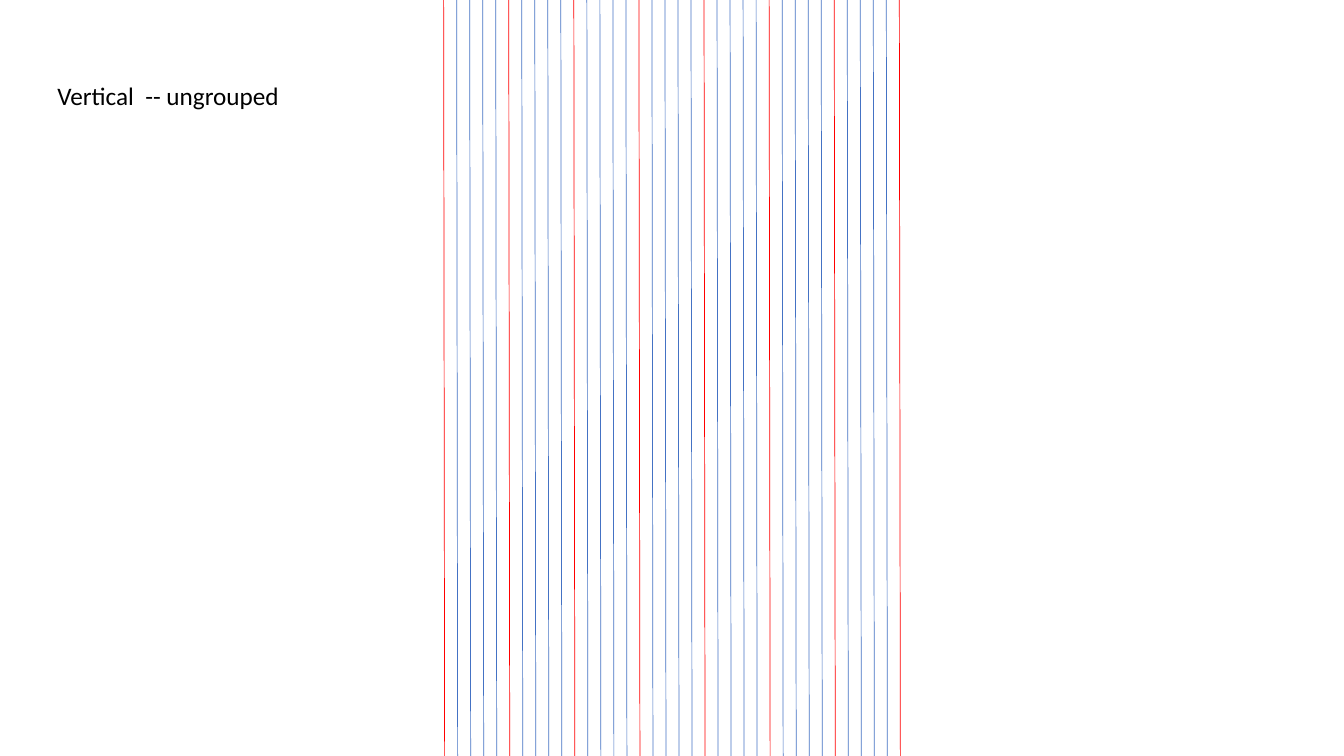
from lxml.etree import SubElement
from pptx import Presentation
from pptx.dml.color import RGBColor
from pptx.enum.shapes import MSO_CONNECTOR
from pptx.enum.text import MSO_AUTO_SIZE
from pptx.oxml.ns import qn
from pptx.util import Inches, Pt

# Content
LABEL = "Vertical  -- ungrouped"
RED, BLUE, BLACK = "FF0000", "4472C4", "000000"
WIDTH, HEIGHT = 13.33, 7.5

# Ruling: evenly spaced, slightly slanted, every fifth line red
COUNT, MAJOR = 36, 5
FIRST, LAST = 4.4, 8.92
SLANT = 0.01


def paint(color, value):
    color.rgb = RGBColor.from_string(value)


def rule(slide, left, value):
    line = slide.shapes.add_connector(
        MSO_CONNECTOR.STRAIGHT,
        Inches(left), Inches(0), Inches(left + SLANT), Inches(HEIGHT))
    line.line.width = Pt(0.5)
    paint(line.line.color, value)
    SubElement(line._element.spPr, qn("a:effectLst"))


def main():
    deck = Presentation()
    deck.slide_width, deck.slide_height = Inches(WIDTH), Inches(HEIGHT)
    slide = deck.slides.add_slide(deck.slide_layouts[6])

    # Vertical lines
    step = (LAST - FIRST) / (COUNT - 1)
    for index in range(COUNT):
        rule(slide, FIRST + index * step, BLUE if index % MAJOR else RED)

    # Label
    box = slide.shapes.add_textbox(
        Inches(0.47), Inches(0.75), Inches(2.43), Inches(0.4))
    frame = box.text_frame
    frame.word_wrap = False
    frame.auto_size = MSO_AUTO_SIZE.SHAPE_TO_FIT_TEXT
    frame.text = LABEL
    font = frame.paragraphs[0].font
    font.name, font.size = "Calibri", Pt(18)
    paint(font.color, BLACK)

    deck.save("out.pptx")


if __name__ == "__main__":
    main()
